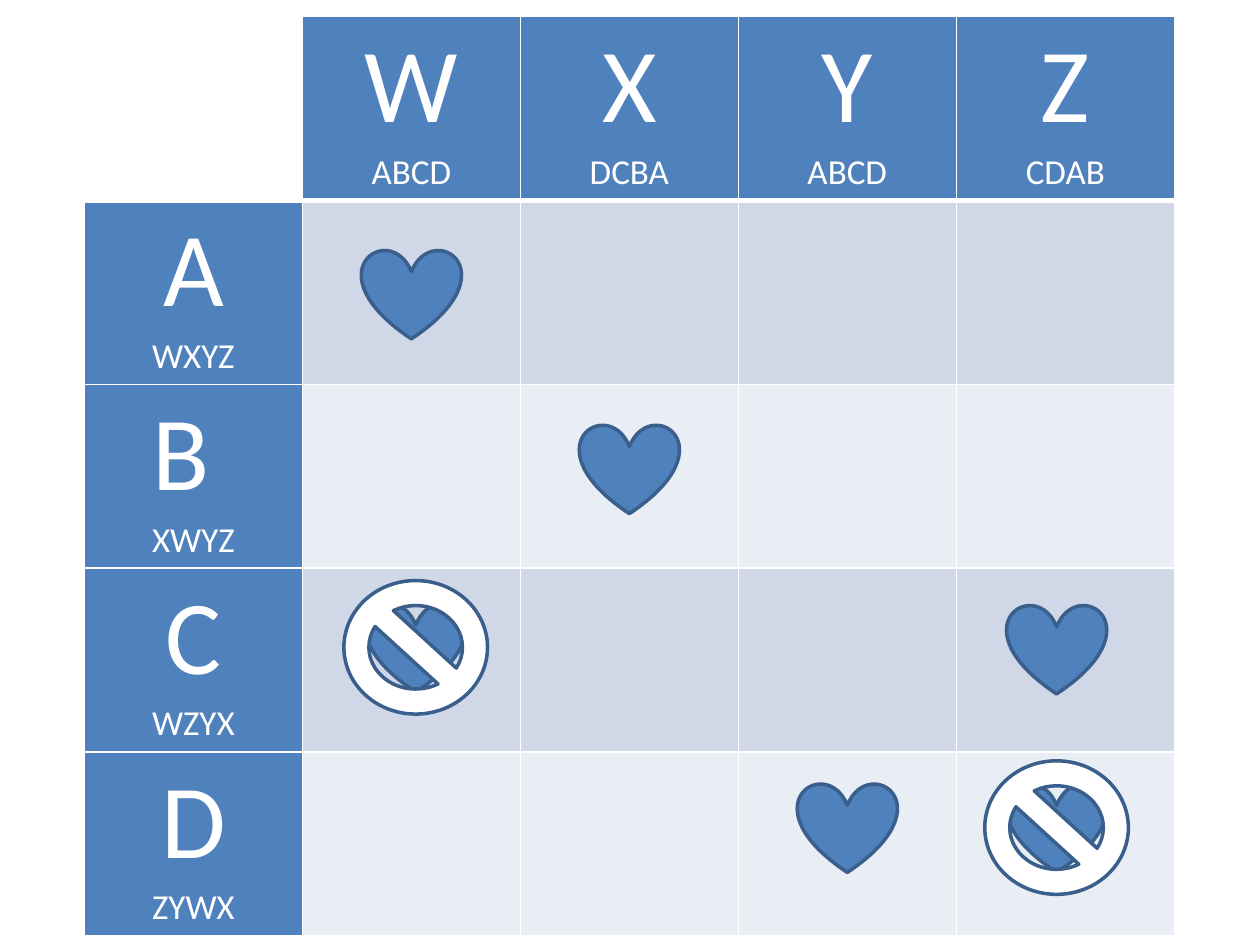
from lxml.etree import SubElement
from pptx import Presentation
from pptx.dml.color import RGBColor
from pptx.enum.shapes import MSO_SHAPE as Preset
from pptx.enum.text import PP_ALIGN as Align
from pptx.oxml.ns import qn
from pptx.util import Inches, Pt

COLUMN, ROW = 1.73, 1.46
LEFT, TOP = 0.67, 0.13
BLUE, DARK_BLUE, WHITE = "4F81BD", "3A5F8C", "FFFFFF"
BANDS = ["E9EDF4", "D0D8E8"]


def paint(target, color):
    """Give a fill, or the fill of a line, one solid colour."""
    target.solid()
    target.fore_color.rgb = RGBColor.from_string(color)


def add_border(cell, side, points):
    line = SubElement(cell._tc.get_or_add_tcPr(), qn(f"a:ln{side}"), w=str(Pt(points)))
    solid = SubElement(line, qn("a:solidFill"))
    SubElement(solid, qn("a:srgbClr"), val=WHITE)


presentation = Presentation()
presentation.slide_width, presentation.slide_height = Inches(10), Inches(7.5)
slide = presentation.slides.add_slide(presentation.slide_layouts[6])

# Preference table: each header holds a name above its ranking
column_headers = [("W", "ABCD"), ("X", "DCBA"), ("Y", "ABCD"), ("Z", "CDAB")]
row_headers = [("A", "WXYZ"), ("B ", "XWYZ"), ("C", "WZYX"), ("D", "ZYWX")]
headers = {(0, i): header for i, header in enumerate(column_headers, 1)}
headers.update({(i, 0): header for i, header in enumerate(row_headers, 1)})

table = slide.shapes.add_table(
    5, 5, Inches(LEFT), Inches(TOP), Inches(5 * COLUMN), Inches(5 * ROW)
).table
for row in range(5):
    for column in range(5):
        cell = table.cell(row, column)
        for side in "LRTB":
            under_header = (row, side) in [(0, "B"), (1, "T")]
            add_border(cell, side, 3 if under_header else 1)
        if (row, column) == (0, 0):
            paint(cell.fill, WHITE)
        elif (row, column) in headers:
            paint(cell.fill, BLUE)
            frame = cell.text_frame
            paragraphs = [frame.paragraphs[0], frame.add_paragraph()]
            for paragraph, text, size in zip(paragraphs, headers[row, column], (60, 20)):
                paragraph.alignment = Align.CENTER
                run = paragraph.add_run()
                run.text = text
                run.font.name, run.font.size, run.font.bold = "Calibri", Pt(size), False
                run.font.color.rgb = RGBColor.from_string(WHITE)
        else:
            paint(cell.fill, BANDS[row % 2])

# Marks: centre in columns and rows from the table's corner
matches = [(1.5, 1.51), (2.5, 2.46), (4.46, 3.44), (3.5, 4.41)]
rejections = [(1.52, 3.43), (4.46, 4.41)]
marks = [
    (Preset.HEART, BLUE, 0.79, 0.71, matches + rejections),
    (Preset.NO_SYMBOL, WHITE, 1.14, 1.06, rejections),
]
for preset, color, width, height, centers in marks:
    for column, row in centers:
        shape = slide.shapes.add_shape(
            preset,
            Inches(LEFT + column * COLUMN - width / 2),
            Inches(TOP + row * ROW - height / 2),
            Inches(width),
            Inches(height),
        )
        shape.shadow.inherit = False
        paint(shape.fill, color)
        paint(shape.line.fill, DARK_BLUE)
        shape.line.width = Pt(2)

presentation.save("out.pptx")
